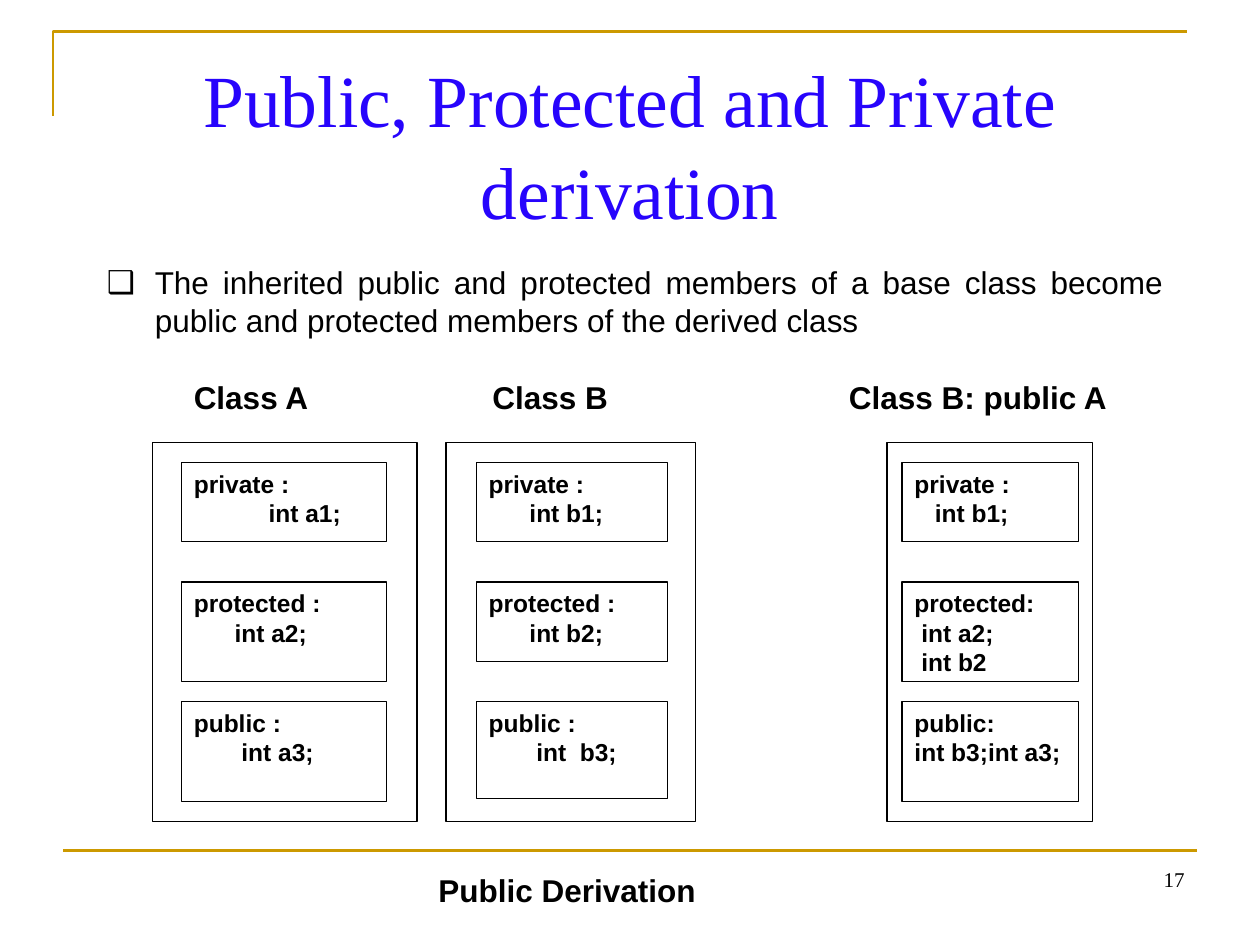
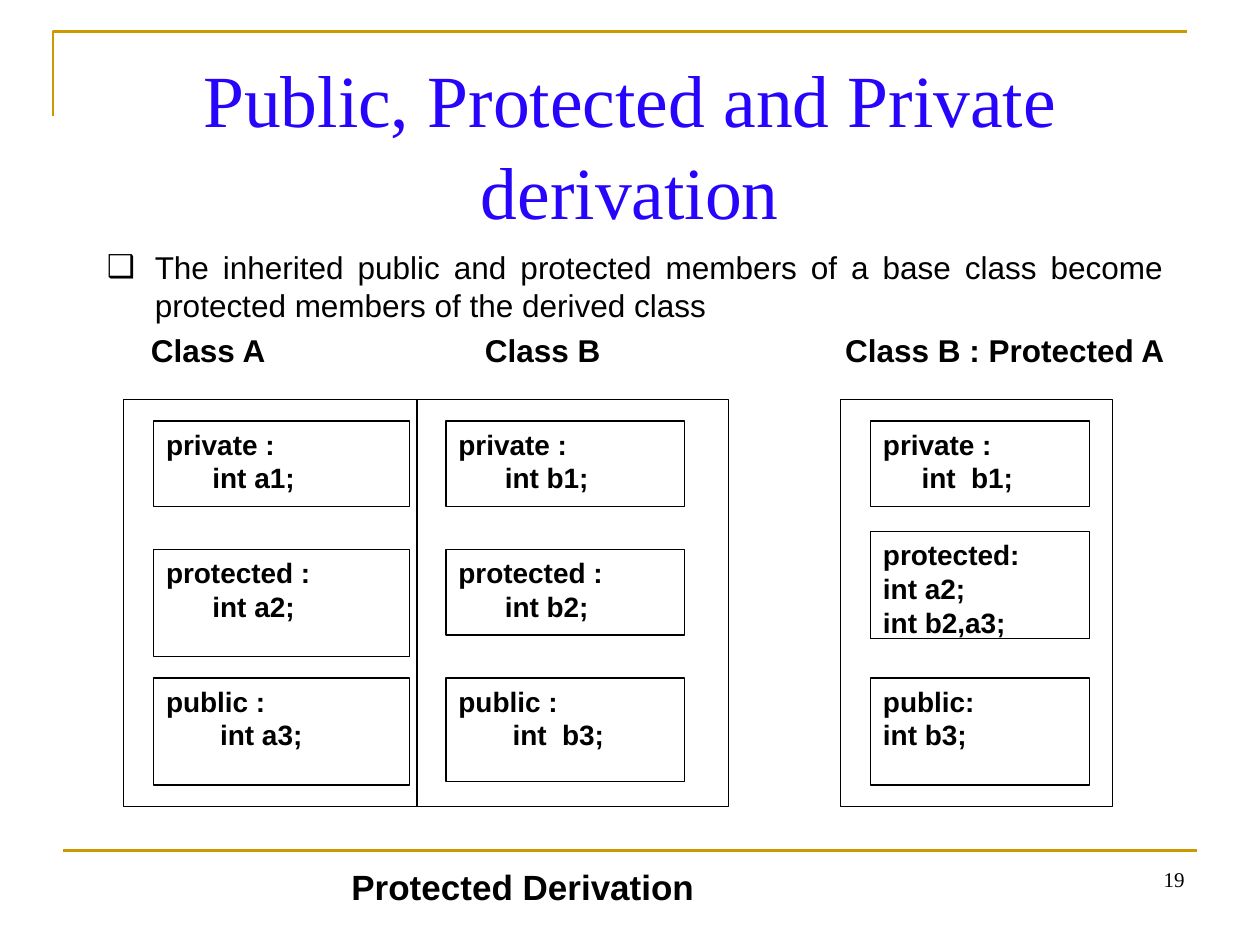
from lxml import etree
from pptx import Presentation
from pptx.dml.color import RGBColor
from pptx.enum import shapes, text
from pptx.oxml.ns import qn
from pptx.util import Inches, Pt

GOLD, BLUE, BLACK, WHITE = "CC9900", "2704FC", "000000", "FFFFFF"
SANS, SERIF = "Arial", "Times New Roman"
LEFT, MID, RIGHT = text.PP_ALIGN.LEFT, text.PP_ALIGN.CENTER, text.PP_ALIGN.RIGHT
TITLE = "Public, Protected and Private derivation"


def color(code):
    """Turn a hex string into a colour."""
    return RGBColor.from_string(code)


def node(parent, tag, **attrs):
    """Add an XML child with the given attributes."""
    return etree.SubElement(parent, qn(tag), {k: str(v) for k, v in attrs.items()})


def style(par, size, bold=False, face=SANS, hue=BLACK, align=LEFT):
    """Set the font and alignment of a paragraph."""
    par.alignment = align
    par.font.size, par.font.bold, par.font.name = Pt(size), bold, face
    par.font.color.rgb = color(hue)


def label(slide, at, words):
    """Add a wrapping text box and return its frame and paragraph."""
    frame = slide.shapes.add_textbox(*map(Inches, at)).text_frame
    frame.word_wrap = True
    par = frame.paragraphs[0]
    par.text = words
    return frame, par


def panel(slide, at, lines=(), size=14, edge=True, align=LEFT):
    """Add a white rectangle with bold lines of text."""
    box = slide.shapes.add_shape(shapes.MSO_SHAPE.RECTANGLE, *map(Inches, at))
    box.shadow.inherit = False
    box.fill.solid()
    box.fill.fore_color.rgb = color(WHITE)
    if edge:
        box.line.color.rgb = color(BLACK)
        box.line.width = Pt(0.75)
    else:
        box.line.fill.background()
    frame = box.text_frame
    frame.vertical_anchor = text.MSO_ANCHOR.TOP
    for i, line in enumerate(lines):
        par = frame.add_paragraph() if i else frame.paragraphs[0]
        par.text = line
        style(par, size, True, align=align)
    return frame


def trim(slide):
    """Draw the gold corner and the gold foot line."""
    path = slide.shapes.build_freeform(Inches(0.42), Inches(0.92))
    path.add_line_segments([(Inches(0.42), Inches(0.25)),
                            (Inches(9.42), Inches(0.25))], close=False)
    corner = path.convert_to_shape()
    corner.shadow.inherit = False
    corner.fill.background()
    foot = slide.shapes.add_connector(
        shapes.MSO_CONNECTOR.STRAIGHT, *map(Inches, (0.5, 6.75, 9.5, 6.75)))
    node(foot._element.spPr, "a:effectLst")
    for item in (corner, foot):
        item.line.color.rgb = color(GOLD)
        item.line.width = Pt(1.5)


def base(deck, number):
    """Add a slide with trim, title and page number."""
    slide = deck.slides.add_slide(deck.slide_layouts[6])
    trim(slide)
    frame, par = label(slide, (0.5, 0.3, 9, 1.25), TITLE)
    frame.margin_top = Inches(0.1)
    par.line_spacing = 1.04
    style(par, 42, face=SERIF, hue=BLUE, align=MID)
    _, par = label(slide, (7.17, 6.83, 2.33, 0.52), number)
    style(par, 12, face=SERIF, align=RIGHT)
    return slide


def bullet(slide, top, words):
    """Add the justified rule with its box bullet."""
    _, par = label(slide, (0.75, top, 8.58, 0.71), words)
    props = par._p.get_or_add_pPr()
    indent = Inches(0.38)
    props.set("marL", str(indent))
    props.set("indent", str(-indent))
    node(props, "a:buFont", typeface=SANS)
    node(props, "a:buChar", char="❑")
    style(par, 18, align=text.PP_ALIGN.JUSTIFY)


def heads(slide, at, names, stops):
    """Set the class names on tab stops, given from the slide's left."""
    frame, par = label(slide, at, "".join("\t" + name for name in names))
    frame.vertical_anchor = text.MSO_ANCHOR.MIDDLE
    tabs = node(par._p.get_or_add_pPr(), "a:tabLst")
    for stop in stops:
        node(tabs, "a:tab", pos=Inches(stop - at[0] - 0.1), algn="l")
    style(par, 18, True)


def group(slide, outer, inner, boxes, size):
    """Draw a class frame and its member boxes (top, height, lines)."""
    panel(slide, outer)
    left, width = inner
    for top, height, lines in boxes:
        panel(slide, (left, top, width, height), lines, size)


def public(deck):
    """Build the public derivation slide."""
    slide = base(deck, "17")
    top, tall = 3.51, 3.01
    one, two, three = 3.67, 4.62, 5.57
    group(slide, (1.21, top, 2.1, tall), (1.44, 1.63), [
        (one, 0.63, ["private :", "           int a1;"]),
        (two, 0.79, ["protected :", "      int a2;"]),
        (three, 0.79, ["public :", "       int a3;"])], 14)
    group(slide, (3.54, top, 1.98, tall), (3.78, 1.52), [
        (one, 0.63, ["private :", "      int b1;"]),
        (two, 0.63, ["protected :", "      int b2;"]),
        (three, 0.77, ["public :", "       int  b3;"])], 14)
    group(slide, (7.04, top, 1.63, tall), (7.16, 1.4), [
        (one, 0.63, ["private :", "   int b1;"]),
        (two, 0.79, ["protected:", " int a2;", " int b2"]),
        (three, 0.79, ["public:", "int b3;int a3;"])], 14)
    frame = panel(slide, (1.83, 6.78, 5.25, 0.63), ["Public Derivation"],
                  18, False, MID)
    frame.margin_left, frame.margin_top = Inches(0.19), Inches(0.13)
    heads(slide, (0.68, 2.95, 8.3, 0.4),
          ["Class A", "Class B", "Class B: public A"], [1.54, 3.91, 6.74])
    bullet(slide, 2.04, "The inherited public and protected members of a base "
           "class become public and protected members of the derived class")


def guarded(deck):
    """Build the protected derivation slide."""
    slide = base(deck, "19")
    bullet(slide, 1.92, "The inherited public and protected members of a base "
           "class become protected members of the derived class")
    top, tall = 3.17, 3.23
    one, two, three = 3.34, 4.36, 5.38
    group(slide, (0.98, top, 2.61, tall), (1.22, 2.03), [
        (one, 0.68, ["private :", "      int a1;"]),
        (two, 0.85, ["protected :", "      int a2;"]),
        (three, 0.85, ["public :", "       int a3;"])], 16)
    group(slide, (3.31, top, 2.47, tall), (3.54, 1.89), [
        (one, 0.68, ["private :", "      int b1;"]),
        (two, 0.68, ["protected :", "      int b2;"]),
        (three, 0.82, ["public :", "       int  b3;"])], 16)
    group(slide, (6.67, top, 2.16, tall), (6.91, 1.74), [
        (one, 0.68, ["private :", "     int  b1;"]),
        (4.22, 0.85, ["protected:", "int a2;", "int b2,a3;"]),
        (three, 0.85, ["public:", "int b3;"])], 16)
    panel(slide, (2.69, 6.82, 3.48, 0.51), ["Protected Derivation"], 20, False)
    heads(slide, (0.27, 2.58, 9.16, 0.4),
          ["Class A", "Class B", "Class B : Protected A"], [1.2, 3.85, 6.71])


def main():
    """Build and save the deck."""
    deck = Presentation()
    deck.slide_width, deck.slide_height = Inches(10), Inches(7.5)
    public(deck)
    guarded(deck)
    deck.save("out.pptx")


if __name__ == "__main__":
    main()
